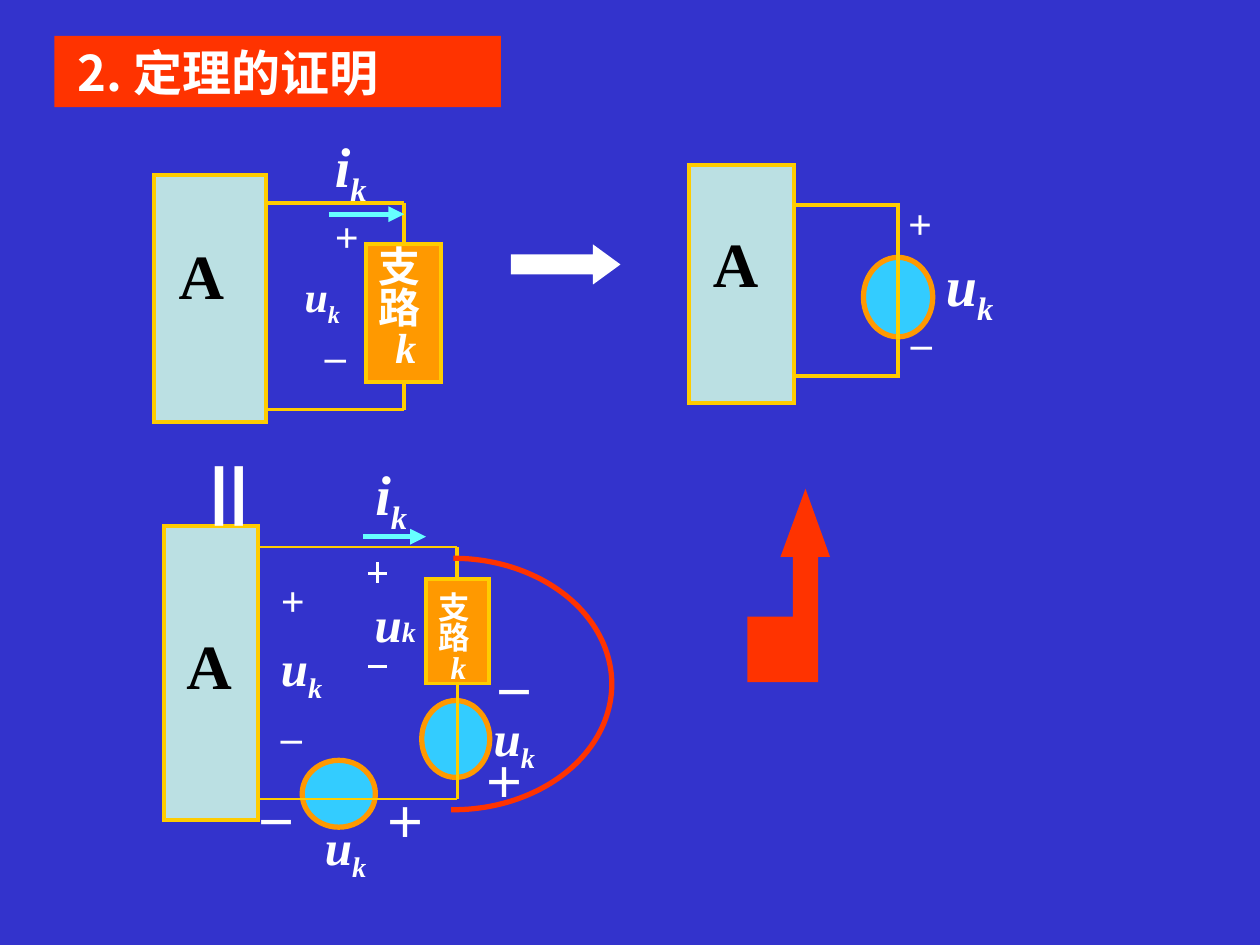
from dataclasses import dataclass
from typing import Optional

from lxml import etree
from pptx import Presentation
from pptx.dml.color import RGBColor
from pptx.enum.shapes import MSO_CONNECTOR as Connector, MSO_SHAPE as Preset
from pptx.enum.text import PP_ALIGN as Align
from pptx.oxml.ns import qn
from pptx.util import Pt

NAVY = RGBColor(0x33, 0x33, 0xCC)
WHITE = RGBColor(0xFF, 0xFF, 0xFF)
BLACK = RGBColor(0, 0, 0)
RED = RGBColor(0xFF, 0x33, 0x00)
GOLD = RGBColor(0xFF, 0xCC, 0x00)
ORANGE = RGBColor(0xFF, 0x99, 0x00)
PALE = RGBColor(0xBB, 0xE0, 0xE3)
SKY = RGBColor(0x33, 0xCC, 0xFF)
CYAN = RGBColor(0x66, 0xFF, 0xFF)
SERIF, SANS, CJK = "Times New Roman", "Arial", "Noto Sans CJK SC"

presentation = Presentation()
presentation.slide_width, presentation.slide_height = Pt(720), Pt(540)
slide = presentation.slides.add_slide(presentation.slide_layouts[6])
slide.background.fill.solid()
slide.background.fill.fore_color.rgb = NAVY


@dataclass(frozen=True)
class Box:
    left: float
    top: float
    width: float
    height: float

    def lengths(self) -> tuple:
        return Pt(self.left), Pt(self.top), Pt(self.width), Pt(self.height)


@dataclass(frozen=True)
class Label:
    text: str
    box: Box
    size: float = 24
    font: str = SERIF


@dataclass(frozen=True)
class Variable:
    """A letter with a small k after it."""
    letter: str
    box: Box
    size: float


def paint(shape, fill=None, line=None, width=2.25):
    shape.shadow.inherit = False
    if fill is None:
        shape.fill.background()
    else:
        shape.fill.solid()
        shape.fill.fore_color.rgb = fill
    if line is None:
        shape.line.fill.background()
    else:
        shape.line.color.rgb = line
        shape.line.width = Pt(width)
        etree.SubElement(shape.line._get_or_add_ln(), qn("a:miter"), lim="800000")
    return shape


def draw_shape(preset, box: Box, fill=None, line=None, width=2.25):
    return paint(slide.shapes.add_shape(preset, *box.lengths()), fill, line, width)


def draw_line(x1, y1, x2, y2, color=GOLD, width=2.25, arrow=False):
    line = slide.shapes.add_connector(Connector.STRAIGHT, Pt(x1), Pt(y1), Pt(x2), Pt(y2))
    line.line.color.rgb = color
    line.line.width = Pt(width)
    if arrow:
        etree.SubElement(line.line._get_or_add_ln(), qn("a:tailEnd"), type="triangle")
    etree.SubElement(line._element.spPr, qn("a:effectLst"))
    return line


def add_run(paragraph, text: str, *, size=24, font=SERIF, color=WHITE,
            italic=False, subscript=False):
    run = paragraph.add_run()
    run.text = text
    run.font.size, run.font.name = Pt(size), font
    run.font.bold, run.font.italic = True, italic
    run.font.color.rgb = color
    properties = run.font._element
    etree.SubElement(properties, qn("a:ea"), typeface=CJK)
    if subscript:
        properties.set("baseline", "-25000")


def add_text_box(box: Box):
    shape = slide.shapes.add_textbox(*box.lengths())
    shape.text_frame.word_wrap = True
    return shape


def draw_label(label: Label, color: RGBColor = WHITE):
    shape = add_text_box(label.box)
    add_run(shape.text_frame.paragraphs[0], label.text, size=label.size,
            font=label.font, color=color)
    return shape


def draw_variable(variable: Variable, small: Optional[float] = None):
    """With a small size given, k stays on the baseline."""
    paragraph = add_text_box(variable.box).text_frame.paragraphs[0]
    add_run(paragraph, variable.letter, size=variable.size, italic=True)
    add_run(paragraph, "k", size=small or variable.size, italic=True, subscript=small is None)


def draw_network(box: Box, label_box: Box):
    draw_shape(Preset.RECTANGLE, box, PALE, GOLD)
    draw_label(Label("A", label_box, 36), BLACK)


def draw_branch(box: Box, text_box: Box, size: float):
    shape = draw_shape(Preset.RECTANGLE, box, ORANGE, GOLD)
    frame = add_text_box(text_box).text_frame
    for index, text in enumerate("支路k"):
        paragraph = frame.paragraphs[0] if index == 0 else frame.add_paragraph()
        paragraph.alignment = Align.JUSTIFY
        paragraph.line_spacing = 0.8
        if text == "k":
            paragraph._p.get_or_add_pPr().set("marL", str(Pt(size * 0.39)))
        add_run(paragraph, text, size=size, italic=text == "k")
    return shape


def draw_branch_wires(branch, left, x, top, bottom, width, lower_width):
    draw_line(left, top, x, top, width=width)
    draw_line(x, top, x, top + 20).end_connect(branch, 0)
    draw_line(left, bottom, x, bottom, width=width)
    draw_line(x, bottom, x, bottom - 20, width=lower_width).end_connect(branch, 2)


def draw_source(box: Box):
    draw_shape(Preset.OVAL, box, SKY, ORANGE, 3)


# Circuit with branch k
draw_network(Box(87.8, 100.1, 64.1, 141.1), Box(95, 131.8, 43.2, 50.4))
branch = draw_branch(Box(209.2, 139.7, 43, 78.5), Box(209.5, 139.7, 36, 122.4), 24)
draw_branch_wires(branch, 151.9, 230.7, 115.9, 234, 2.25, 2.25)
draw_line(187.9, 122.4, 231, 122.4, CYAN, 3, arrow=True)
draw_variable(Variable("i", Box(184.3, 71.6, 50.4, 51.1), 32))
draw_variable(Variable("u", Box(167, 151.2, 51.8, 40.3), 24))
draw_label(Label("+", Box(184.3, 116.6, 23, 36)))
draw_label(Label("–", Box(178.6, 185, 36, 36)))

# Circuit with the voltage source
draw_network(Box(393.8, 94.3, 59.8, 136.1), Box(400.3, 124.6, 39.6, 50.4))
draw_shape(Preset.RECTANGLE, Box(453.6, 117, 59.8, 97.9), line=GOLD)
draw_source(Box(493.4, 147.1, 39.6, 45.4))
draw_line(513.4, 145.4, 513.4, 193.7)
draw_label(Label("+", Box(511.9, 109.4, 21.6, 36)))
draw_label(Label("–", Box(513.4, 177.1, 33.1, 36)))
draw_variable(Variable("u", Box(533.5, 139.7, 47.5, 51.1), 32))

# Arrow between the upper circuits
arrow = draw_shape(Preset.RIGHT_ARROW, Box(292, 139.7, 62.6, 22.9), WHITE)
arrow.adjustments[1] = 0.685

# Circuit with two added sources
draw_source(Box(172.7, 434.5, 41.8, 38.2))
draw_source(Box(241, 400.3, 38.9, 43.9))
for sign, left, top in (("－", 139, 451.4), ("＋", 269.3, 428.6),
                        ("＋", 212.4, 451.4), ("－", 275, 377.6)):
    draw_label(Label(sign, Box(left, top, 33.8, 36), font=SANS))
for y in (327.6, 380.9):
    draw_line(210.2, y, 221, y, WHITE, 1.5)
draw_line(215.6, 333, 215.6, 321.4, WHITE, 1.5)
draw_variable(Variable("u", Box(207, 335.5, 46, 41), 28), small=16)
draw_network(Box(93.6, 300.7, 54, 167.8), Box(99.4, 354.6, 36, 50.4))
draw_line(207.4, 306.7, 243.4, 306.7, CYAN, 3, arrow=True)
draw_variable(Variable("i", Box(207.4, 258.8, 41.8, 51.1), 32))
for sign, top in (("+", 324.7), ("–", 402.5)):
    draw_label(Label(sign, Box(153.4, top, 30.2, 36)))
for box in (Box(178.6, 463, 59.8, 45.4), Box(275, 400.6, 70.6, 45.4),
            Box(153.4, 360.7, 43.2, 45.4)):
    draw_variable(Variable("u", box, 28))
branch = draw_branch(Box(243.4, 330.8, 36, 59.8), Box(243.4, 336.5, 30.2, 93.6), 18)
draw_branch_wires(branch, 147.6, 261.4, 312.5, 456.5, 1.5, 1.5)

# Arc around the branch and its source
arc = draw_shape(Preset.ARC, Box(168.5, 319, 181.1, 143.7), line=RED, width=3)
arc.adjustments[0], arc.adjustments[1] = 162, 54.6  # from -90 to 91 degrees

# Red arrow up to the result
outline = [(447.1, 317.5), (453.9, 317.5), (453.9, 353.2), (427.9, 353.2),
           (427.9, 389), (466.8, 389), (466.8, 317.5), (473.3, 317.5)]
builder = slide.shapes.build_freeform(Pt(460.3), Pt(281.5))
builder.add_line_segments([(Pt(x), Pt(y)) for x, y in outline], close=True)
paint(builder.convert_to_shape(), RED, RED, 1.5)

# Title
title = draw_shape(Preset.RECTANGLE, Box(31, 20.5, 255.2, 40.8), RED)
frame = title.text_frame
frame.margin_left = Pt(13.5)
frame.paragraphs[0].alignment = Align.LEFT
add_run(frame.paragraphs[0], "2. 定理的证明", size=28, font=CJK)

# Upright equals sign
draw_label(Label("＝", Box(94.8, 257, 73.4, 64.8), 48, SANS)).rotation = 90

presentation.save("out.pptx")
